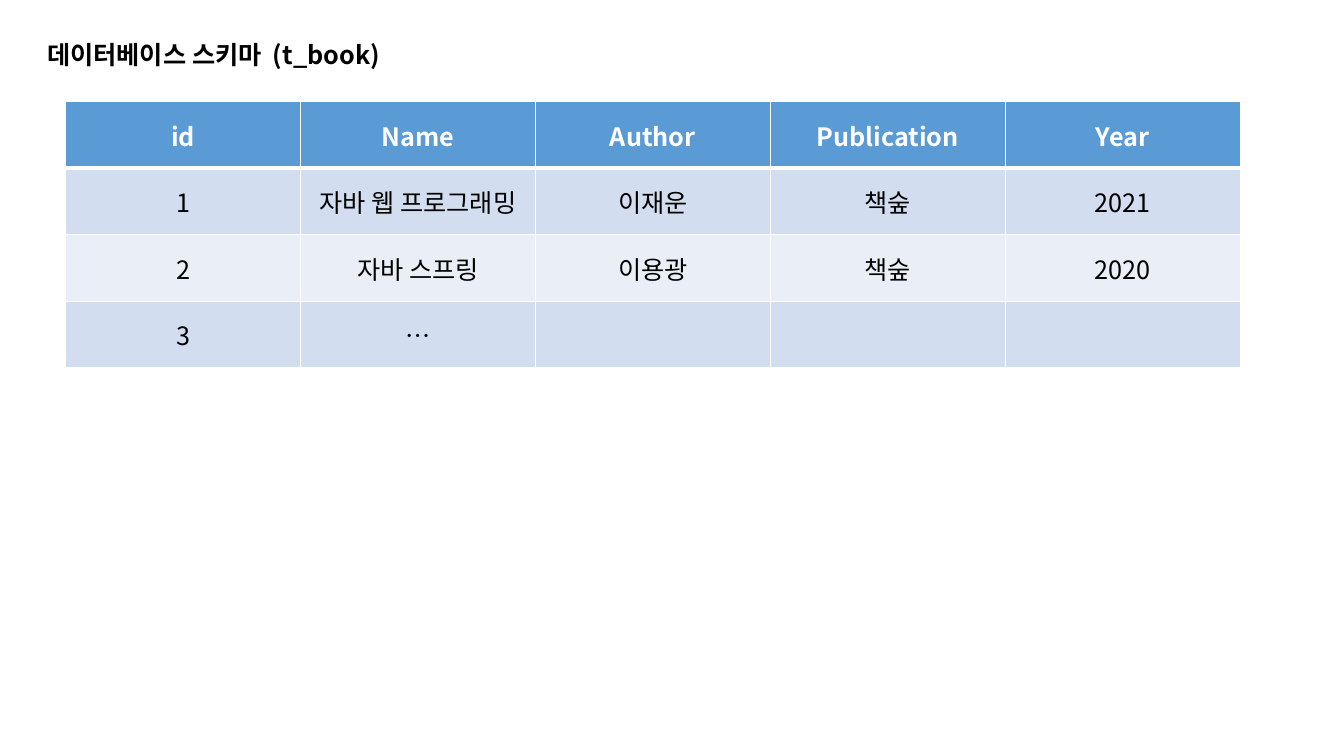
from pptx import Presentation
from pptx.dml.color import RGBColor
from pptx.enum import text
from pptx.oxml import ns
from pptx.util import Inches, Pt
from lxml import etree

FONT = "Noto Sans CJK KR"
BLACK = RGBColor(0x00, 0x00, 0x00)
WHITE = RGBColor(0xFF, 0xFF, 0xFF)
BLUE = RGBColor(0x5B, 0x9B, 0xD5)
BANDS = [RGBColor(0xEA, 0xEF, 0xF7), RGBColor(0xD2, 0xDE, 0xEF)]

BOOKS = [
    ["id", "Name", "Author", "Publication", "Year"],
    ["1", "자바 웹 프로그래밍", "이재운", "책숲", "2021"],
    ["2", "자바 스프링", "이용광", "책숲", "2020"],
    ["3", "…", "", "", ""],
]


def style(par, color, bold):
    font = par.font
    font.name, font.size, font.bold = FONT, Pt(18), bold
    font.color.rgb = color
    # Hangul takes the East Asian typeface
    for props in par._p.iter(ns.qn("a:defRPr"), ns.qn("a:rPr")):
        etree.SubElement(props, ns.qn("a:ea"), typeface=FONT)


def edge(cell, side, width):
    line = etree.SubElement(cell._tc.get_or_add_tcPr(), ns.qn("a:ln" + side),
                            w=str(Pt(width)))
    fill = etree.SubElement(line, ns.qn("a:solidFill"))
    etree.SubElement(fill, ns.qn("a:srgbClr"), val=str(WHITE))


def add_title(slide, left, top, width, height):
    box = slide.shapes.add_textbox(left, top, width, height)
    frame = box.text_frame
    frame.word_wrap = False
    frame.auto_size = text.MSO_AUTO_SIZE.SHAPE_TO_FIT_TEXT
    par = frame.paragraphs[0]
    for part in ("데이터베이스 스키마", " ", "(t_book)"):
        run = par.add_run()
        run.text = part
        if part == " ":
            # Widen the gap before the table name
            run.font._element.set("spc", "400")
    style(par, BLACK, True)


def add_grid(slide, rows, left, top, width, height):
    grid = slide.shapes.add_table(len(rows), len(rows[0]),
                                  left, top, width, height).table
    for r, row in enumerate(rows):
        head = r == 0
        for c, word in enumerate(row):
            cell = grid.cell(r, c)
            cell.text = word
            cell.vertical_anchor = text.MSO_ANCHOR.MIDDLE
            par = cell.text_frame.paragraphs[0]
            par.alignment = text.PP_ALIGN.CENTER
            style(par, WHITE if head else BLACK, head)
            # Borders come before the fill in the cell properties
            for side in "LRTB":
                thick = (head and side == "B") or (r == 1 and side == "T")
                edge(cell, side, 3 if thick else 1)
            cell.fill.solid()
            cell.fill.fore_color.rgb = BLUE if head else BANDS[r % 2]


def main():
    deck = Presentation()
    deck.slide_width, deck.slide_height = Inches(13.33), Inches(7.5)
    slide = deck.slides.add_slide(deck.slide_layouts[6])
    # Heading
    add_title(slide, Inches(0.37), Inches(0.34), Inches(3.65), Inches(0.4))
    # Book table
    add_grid(slide, BOOKS, Inches(0.65), Inches(1.01), Inches(11.65), Inches(2.64))
    deck.save("out.pptx")


if __name__ == "__main__":
    main()
